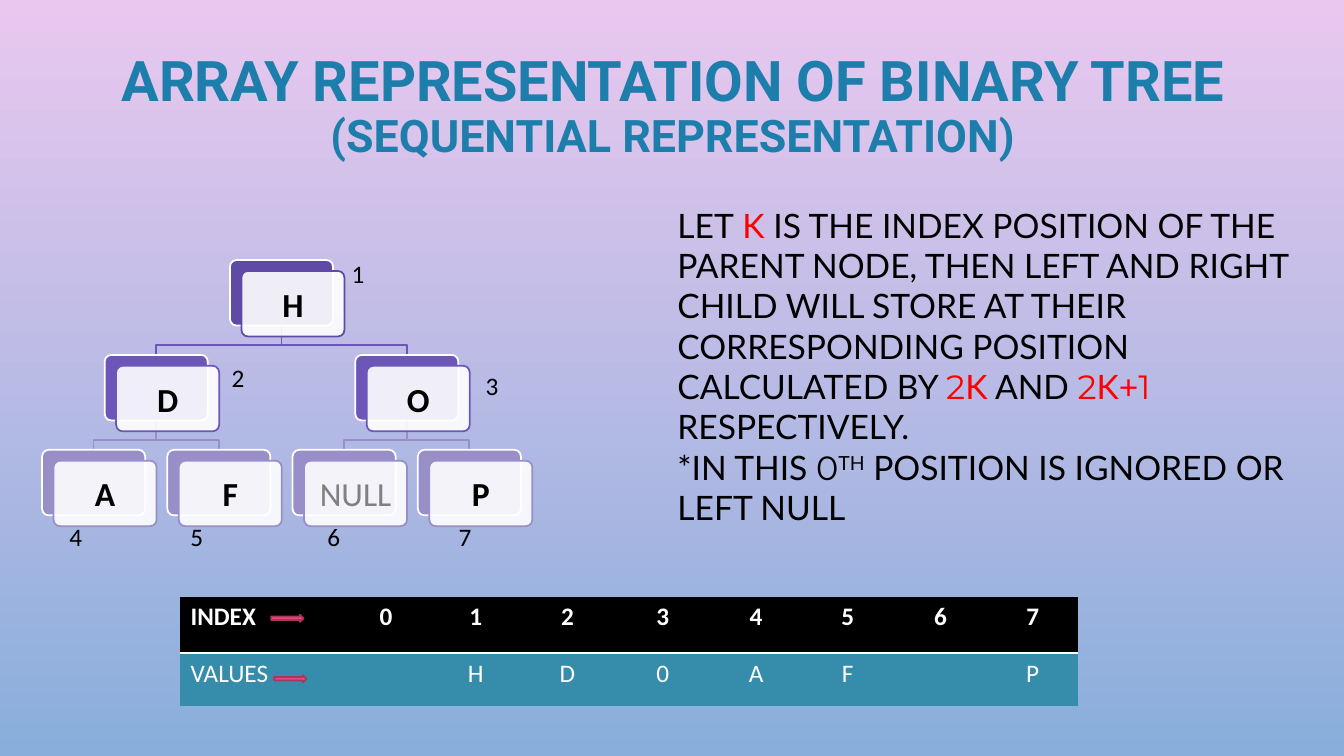
from dataclasses import dataclass

from pptx import Presentation
from pptx.dml.color import RGBColor
from pptx.enum.shapes import MSO_SHAPE
from pptx.enum.text import MSO_ANCHOR, MSO_AUTO_SIZE, PP_ALIGN
from pptx.oxml import parse_xml
from pptx.oxml.ns import nsdecls, qn
from pptx.util import Inches, Pt

ROUNDED, ARROW = MSO_SHAPE.ROUNDED_RECTANGLE, MSO_SHAPE.RIGHT_ARROW
MIDDLE, TOP = MSO_ANCHOR.MIDDLE, MSO_ANCHOR.TOP
LEFT, CENTER = PP_ALIGN.LEFT, PP_ALIGN.CENTER
FIXED = MSO_AUTO_SIZE.NONE
rgb = RGBColor.from_string


@dataclass(frozen=True)
class Theme:
    sky: str = "E9C8EF"
    ground: str = "89AEDB"
    heading: str = "1D7EAB"
    ink: str = "000000"
    paper: str = "FFFFFF"
    accent: str = "FF0000"
    muted: str = "808080"
    levels: tuple = ("5F4BA6", "6C57B8", "988EC8")
    values_row: str = "368CAB"
    arrow: str = "E34B7A"
    arrow_edge: str = "A8375A"
    title_size: int = 40
    subtitle_size: int = 32
    text_size: int = 24
    label_size: int = 18
    edge: float = 1.25


THEME = Theme()
NO_TABLE_STYLE = "{2D5ABB26-0587-4C30-8999-92F81FD0307C}"

deck = Presentation()
deck.slide_width, deck.slide_height = Inches(13.33), Inches(7.5)
# The slide is a grid of 100 columns by 100 rows.
COL, ROW = deck.slide_width / 100, deck.slide_height / 100


def box(left, top, width, height):
    """Turn grid units into left, top, width and height in EMU."""
    return int(left * COL), int(top * ROW), int(width * COL), int(height * ROW)


def write(paragraph, text, size=THEME.label_size, color=THEME.ink, font="Calibri",
          bold=False, align=LEFT, superscript=False):
    paragraph.alignment = align
    run = paragraph.add_run()
    run.text = text
    run.font.size, run.font.name, run.font.bold = Pt(size), font, bold
    run.font.color.rgb = rgb(color)
    if superscript:
        run._r.get_or_add_rPr().set("baseline", "30000")


slide = deck.slides.add_slide(deck.slide_layouts[1])
backdrop = slide.background.fill
backdrop.gradient()
backdrop.gradient_angle = 270
for stop, color in zip(backdrop.gradient_stops, (THEME.sky, THEME.ground)):
    stop.color.rgb = rgb(color)

# Title and explanation
title, explanation = slide.placeholders
for holder, place, anchor in ((title, (7.58, 2.53, 84.98, 23.33), MIDDLE),
                              (explanation, (49.65, 26.4, 48.98, 44.4), TOP)):
    holder.left, holder.top, holder.width, holder.height = box(*place)
    holder.text_frame.word_wrap = True
    holder.text_frame.auto_size = FIXED
    holder.text_frame.vertical_anchor = anchor

heading = title.text_frame.paragraphs[0]
heading.line_spacing = 0.9
heading_format = dict(color=THEME.heading, font="Roboto", bold=True, align=CENTER)
write(heading, "ARRAY REPRESENTATION OF BINARY TREE", size=THEME.title_size, **heading_format)
heading.add_line_break()
write(heading, "(SEQUENTIAL REPRESENTATION)", size=THEME.subtitle_size, **heading_format)

red = dict(color=THEME.accent)
red_digit = dict(color=THEME.accent, font="Montserrat")
sentences = (
    (("LET", {}), (" K ", red),
     ("IS THE INDEX POSITION OF THE PARENT NODE, THEN LEFT AND RIGHT CHILD WILL STORE AT "
      "THEIR CORRESPONDING POSITION CALCULATED BY ", {}),
     ("2", red_digit), ("K", red), (" AND ", {}), ("2", red_digit), ("K+", red),
     ("1", red_digit), (" RESPECTIVELY.", {})),
    (("*IN THIS ", {}), ("0", dict(font="Montserrat")), ("TH", dict(superscript=True)),
     (" POSITION IS IGNORED OR LEFT NULL", {})),
)
explanation.text_frame.add_paragraph()
for paragraph, pieces in zip(explanation.text_frame.paragraphs, sentences):
    paragraph.space_before = Pt(0)
    properties = paragraph._p.get_or_add_pPr()
    properties.set("marL", "0")
    properties.set("indent", "0")
    properties.append(parse_xml(f"<a:buNone {nsdecls('a')}/>"))
    for text, style in pieces:
        write(paragraph, text, **{"size": THEME.text_size, "font": "Lato", **style})

# Tree: nodes in array order, so the parent of node k is k // 2
NODES = ("H", "D", "O", "A", "F", "NULL", "P")
TREE_LEFT, TREE_TOP, SLOT, LEVEL = 3.13, 34.4, 4.66, 12.55
CARD_W, CARD_H, SHIFT_X, SHIFT_Y, BEND = 7.67, 8.67, 0.85, 1.44, 1.33

corners = {}
for k in range(1, len(NODES) + 1):
    level = k.bit_length() - 1
    slot = 2 ** (2 - level) * (2 * (k - 2 ** level) + 1) - 1
    corners[k] = (TREE_LEFT + slot * SLOT, TREE_TOP + level * LEVEL, THEME.levels[level])

tree = slide.shapes.add_group_shape().shapes
for k in range(len(NODES), 1, -1):
    left, top, color = corners[k]
    parent_left, parent_top, _ = corners[k // 2]
    middle, parent_middle = left + CARD_W / 2, parent_left + CARD_W / 2
    start, *bends = [(int(x * COL), int(y * ROW)) for x, y in (
        (parent_middle, parent_top + CARD_H), (parent_middle, top - BEND),
        (middle, top - BEND), (middle, top))]
    outline = tree.build_freeform(*start)
    outline.add_line_segments(bends, close=False)
    branch = outline.convert_to_shape()
    branch.shadow.inherit = False
    branch.fill.background()
    branch.line.color.rgb = rgb(color)
    branch.line.width = Pt(THEME.edge)

for k, value in enumerate(NODES, start=1):
    left, top, color = corners[k]
    for shift, fill, edge in ((0, color, THEME.paper), (1, THEME.paper, color)):
        card = tree.add_shape(ROUNDED, *box(left + shift * SHIFT_X, top + shift * SHIFT_Y,
                                            CARD_W, CARD_H))
        card.adjustments[0] = 0.1
        card.shadow.inherit = False
        card.fill.solid()
        card.fill.fore_color.rgb = rgb(fill)
        card.line.color.rgb = rgb(edge)
        card.line.width = Pt(THEME.edge)
    # The front card is slightly see-through and carries the value.
    card.fill._xPr.find(".//" + qn("a:srgbClr")).append(
        parse_xml(f'<a:alpha {nsdecls("a")} val="90000"/>'))
    card.text_frame.word_wrap = False
    card.text_frame.vertical_anchor = MIDDLE
    empty = value == "NULL"
    write(card.text_frame.paragraphs[0], value, size=THEME.text_size, bold=not empty,
          color=THEME.muted if empty else THEME.ink, align=CENTER)

LEAF_LABEL_TOP = 68.27
label_places = ((25.43, 33.47), (16.5, 47.33), (35.4, 48.27), (4.43, LEAF_LABEL_TOP),
                (13.43, LEAF_LABEL_TOP), (23.63, LEAF_LABEL_TOP), (33.38, LEAF_LABEL_TOP))
for k, (left, top) in enumerate(label_places, start=1):
    index_label = slide.shapes.add_textbox(*box(left, top, 3, 5.33))
    index_label.text_frame.word_wrap = True
    write(index_label.text_frame.paragraphs[0], str(k))

# Array
array_rows = (("INDEX", "0", "1", "2", "3", "4", "5", "6", "7"),
              ("VALUES", "", "H", "D", "0", "A", "F", "", "P"))
column_widths = (11.85, 6.9, 6.45, 7.2, 6.98, 6.9, 6.75, 7.05, 6.68)
row_heights = (7.47, 6.93)
array_frame = slide.shapes.add_table(
    len(array_rows), len(column_widths),
    *box(13.43, 78.93, sum(column_widths), sum(row_heights)))
array_frame._element.find(".//" + qn("a:tableStyleId")).text = NO_TABLE_STYLE
array = array_frame.table
array.horz_banding = False
for column, width in zip(array.columns, column_widths):
    column.width = int(width * COL)
for r, (entries, height, fill) in enumerate(
        zip(array_rows, row_heights, (THEME.ink, THEME.values_row))):
    array.rows[r].height = int(height * ROW)
    for c, entry in enumerate(entries):
        cell = array.cell(r, c)
        cell.fill.solid()
        cell.fill.fore_color.rgb = rgb(fill)
        if entry:
            write(cell.text_frame.paragraphs[0], entry, color=THEME.paper,
                  bold=r == 0, align=CENTER if c else LEFT)
        if r == 0:
            cell._tc.get_or_add_tcPr().insert(0, parse_xml(
                f'<a:lnB {nsdecls("a")} w="{Pt(2)}"><a:solidFill>'
                f'<a:srgbClr val="{THEME.paper}"/></a:solidFill></a:lnB>'))

for left, top in ((20.18, 81.33), (20.4, 89.33)):
    pointer = slide.shapes.add_shape(ARROW, *box(left, top, 2.4, 0.93))
    pointer.shadow.inherit = False
    pointer.fill.solid()
    pointer.fill.fore_color.rgb = rgb(THEME.arrow)
    pointer.line.color.rgb = rgb(THEME.arrow_edge)
    pointer.line.width = Pt(THEME.edge)

deck.save("out.pptx")
